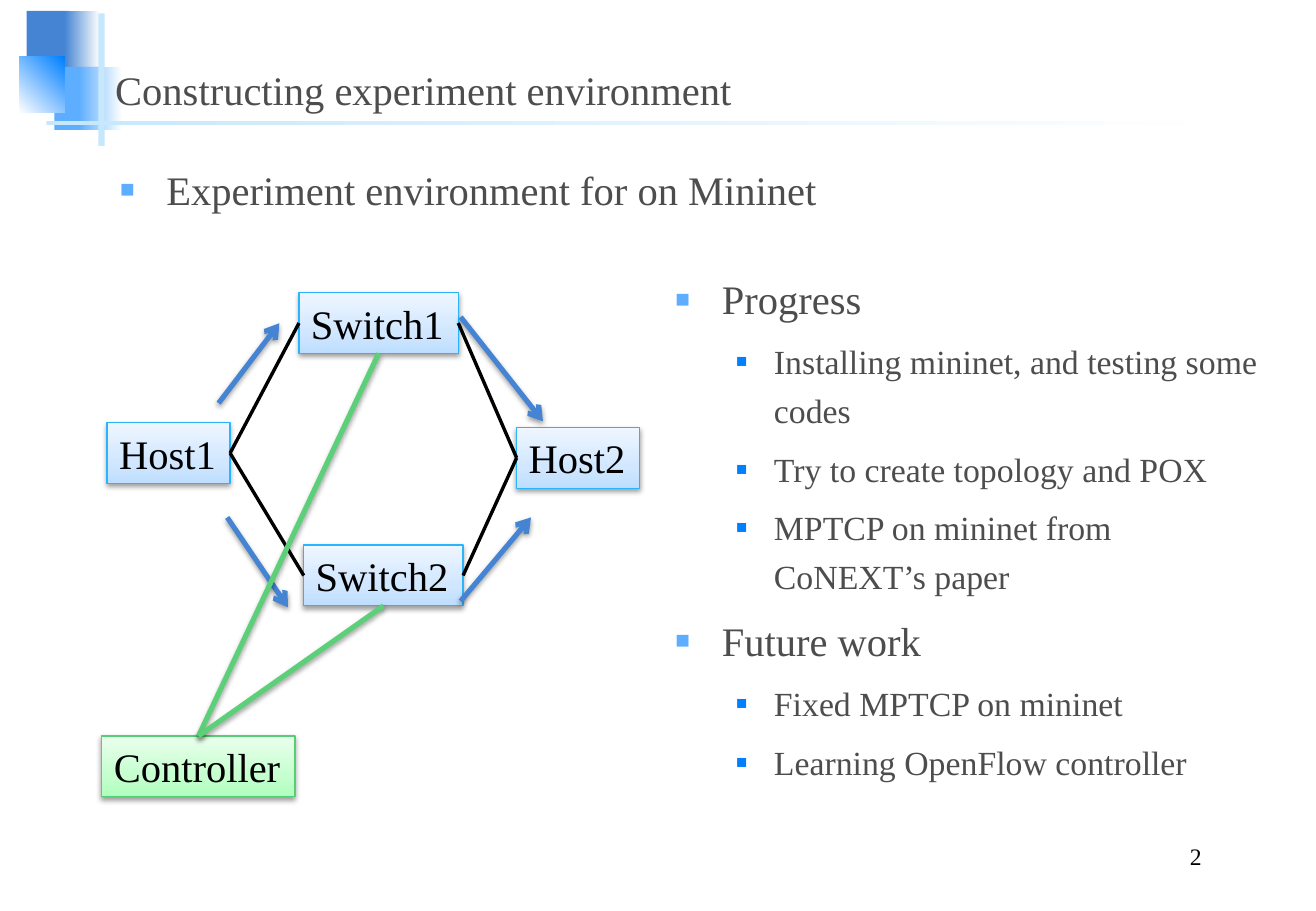
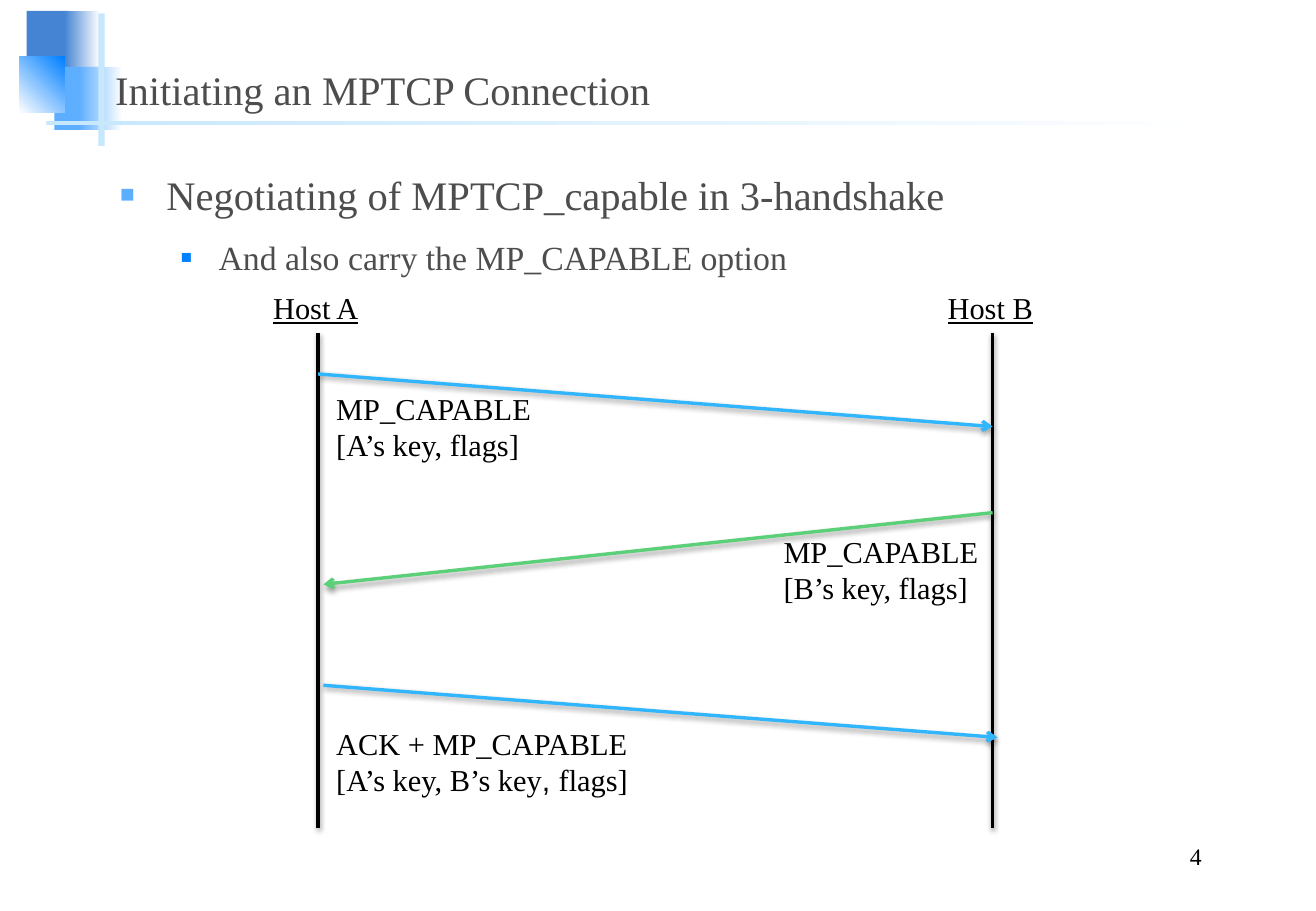
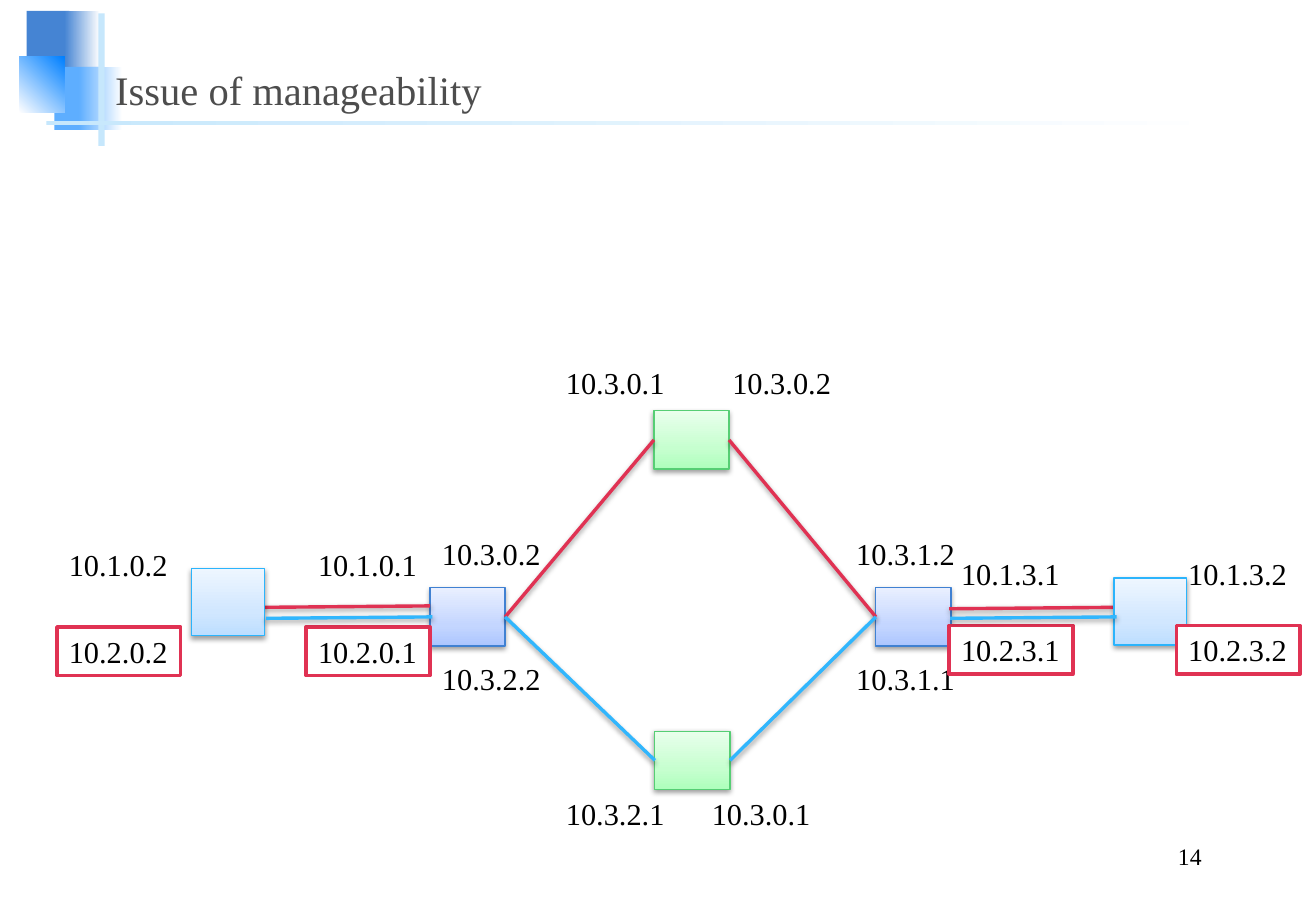
"""Build three slides about multipath TCP experiments."""
from dataclasses import dataclass

from lxml.etree import SubElement as Sub
from pptx import Presentation
from pptx.dml.color import RGBColor as RGB
from pptx.enum.shapes import MSO_CONNECTOR as Wire, MSO_SHAPE as Form
from pptx.enum.text import MSO_ANCHOR as Anchor, MSO_AUTO_SIZE as Auto, PP_ALIGN as Align
from pptx.oxml import parse_xml
from pptx.oxml.ns import nsdecls, qn
from pptx.util import Cm, Pt


@dataclass(frozen=True)
class Theme:
    """Colours, fonts and type sizes of the deck."""
    serif: str = "Times New Roman"
    sans: str = "Arial"
    large: int = 24
    mid: int = 20
    small: int = 18
    tiny: int = 14
    ink: str = "000000"
    gray: str = "4D4D4D"
    white: str = "FFFFFF"
    navy: str = "4584D3"
    blue: str = "5EAEFF"
    azure: str = "0080FF"
    pale: str = "C6E7FC"
    sky: str = "31B6FD"
    green: str = "5BD078"
    red: str = "E03253"
    host: tuple = ("2BB4FC", "BDDEFF", "D1E7FF", "EEF6FF")
    leaf: tuple = ("56CE74", "AEFFBC", "C6FFCF", "E9FFEC")
    hub: tuple = ("4081D2", "ACC6FF", "C4D6FF", "E9EFFF")


T = Theme()
TOP, LEFT, BOTTOM, RIGHT = range(4)
NODE = 1.27
LABEL = 2.59, 1.02


def rgb(code):
    """Return a colour object for a hex code."""
    return RGB.from_string(code)


def fade(shape, stops, angle):
    """Fill a shape with a linear gradient."""
    shape.fill.background()
    props = shape._element.spPr
    marks = "".join(f'<a:gs pos="{pos * 1000}"><a:srgbClr val="{code}"/></a:gs>'
                    for pos, code in stops)
    props.replace(props.find(qn("a:noFill")), parse_xml(
        f'<a:gradFill {nsdecls("a")} rotWithShape="1"><a:gsLst>{marks}</a:gsLst>'
        f'<a:lin ang="{angle * 60000}" scaled="0"/></a:gradFill>'))


def cast(item, dark):
    """Replace the theme shadow by a soft one or by none."""
    props = item._element.spPr
    effect = props.find(qn("a:effectLst"))
    if effect is None:
        effect = Sub(props, qn("a:effectLst"))
    if dark:
        drop = Sub(effect, qn("a:outerShdw"), blurRad="40000", dist="20000",
                   dir="5400000", rotWithShape="0")
        color = Sub(drop, qn("a:srgbClr"), val=T.ink)
        Sub(color, qn("a:alpha"), val="38000")


def style(para, size, color=T.ink):
    """Set the font of a paragraph."""
    font = para.font
    font.name, font.size, font.color.rgb = T.serif, Pt(size), rgb(color)


def write(shape, lines, size, color=T.ink, wrap=True, anchor=Anchor.TOP, align=Align.LEFT):
    """Put plain lines of text into a shape."""
    frame = shape.text_frame
    frame.word_wrap, frame.vertical_anchor = wrap, anchor
    frame.auto_size = Auto.NONE if wrap else Auto.SHAPE_TO_FIT_TEXT
    frame.text = "\n".join(lines)
    for para in frame.paragraphs:
        para.alignment = align
        style(para, size, color)


def text(slide, area, *lines, **look):
    """Add a text box."""
    box = slide.shapes.add_textbox(*map(Cm, area))
    write(box, lines, **look)
    return box


def label(slide, x, y, *lines, size=LABEL):
    """Add a small caption that does not wrap."""
    return text(slide, (x, y, *size), *lines, size=T.small, wrap=False)


def rect(slide, area):
    """Add a rectangle without the theme shadow."""
    shape = slide.shapes.add_shape(Form.RECTANGLE, *map(Cm, area))
    shape.shadow.inherit = False
    return shape


def node(slide, area, look, name=None):
    """Add a shaded network node."""
    edge, *tones = look
    shape = rect(slide, area)
    fade(shape, zip((0, 35, 100), tones), 270)
    shape.line.color.rgb, shape.line.width = rgb(edge), Pt(0.75)
    cast(shape, True)
    if name:
        write(shape, [name], T.large, wrap=False)
    return shape


def tag(slide, x, y, name):
    """Add an address in a red frame."""
    shape = rect(slide, (x, y, *LABEL))
    shape.fill.solid()
    shape.fill.fore_color.rgb = rgb(T.white)
    shape.line.color.rgb, shape.line.width = rgb(T.red), Pt(2)
    write(shape, [name], T.small, wrap=False)


def line(slide, ends, color, width=2, arrow=False, dark=True):
    """Add a straight line given by two points."""
    wire = slide.shapes.add_connector(Wire.STRAIGHT, *map(Cm, ends))
    wire.line.color.rgb, wire.line.width = rgb(color), Pt(width)
    if arrow:
        Sub(wire._element.spPr.find(qn("a:ln")), qn("a:tailEnd"), type="arrow")
    cast(wire, dark)
    return wire


def link(slide, start, side, end, face, color, **look):
    """Join the sides of two nodes."""
    wire = line(slide, (0, 0, 1, 1), color, **look)
    wire.begin_connect(start, side)
    wire.end_connect(end, face)


def points(slide, area, items):
    """Add a bulleted list of (level, text) pairs."""
    looks = ((0.97, -0.97, T.blue, 60, T.large), (2.06, -0.79, T.azure, 55, T.mid))
    box = slide.shapes.add_textbox(*map(Cm, area))
    frame = box.text_frame
    frame.word_wrap = True
    for num, (level, words) in enumerate(items):
        para = frame.add_paragraph() if num else frame.paragraphs[0]
        para.text, para.level = words, level
        margin, hang, color, share, size = looks[level]
        props = para._p.get_or_add_pPr()
        props.set("marL", str(Cm(margin)))
        props.set("indent", str(Cm(hang)))
        Sub(Sub(props, qn("a:buClr")), qn("a:srgbClr"), val=color)
        Sub(props, qn("a:buSzPct"), val=str(share * 1000))
        Sub(props, qn("a:buFont"), typeface=T.sans)
        Sub(props, qn("a:buChar"), char="■")
        para.line_spacing = 1.2
        para.space_before = Pt(6 if num else 0)
        style(para, size, T.gray)


def page(deck, title, number):
    """Add a slide with its ornament, title and number."""
    slide = deck.slides.add_slide(deck.slide_layouts[6])
    bars = (
        ((0.56, 0.23, 0.89, 1.32), (T.navy, T.navy), 0),
        ((1.35, 0.23, 0.74, 1.32), (T.navy, T.white), 0),
        ((1.14, 1.4, 1.04, 1.32), (T.blue, T.blue), 0),
        ((1.65, 1.4, 0.91, 1.32), (T.blue, T.white), 0),
        ((0.41, 1.19, 0.94, 1.17), (T.white, T.azure), 315),
        ((2.06, 0.28, 0.13, 2.77), (T.pale, T.pale), 0),
        ((0.97, 2.54, 24.77, 0.08), (T.pale, T.white), 0),
    )
    for area, (first, last), angle in bars:
        bar = rect(slide, area)
        bar.line.fill.background()
        if first == last:
            bar.fill.solid()
            bar.fill.fore_color.rgb = rgb(first)
        else:
            fade(bar, ((0, first), (100, last)), angle)
    text(slide, (2.16, 0.91, 23.6, 1.6), title, size=T.large, color=T.gray,
         anchor=Anchor.BOTTOM)
    text(slide, (19.63, 17.53, 5.74, 0.79), str(number), size=T.tiny,
         anchor=Anchor.BOTTOM, align=Align.RIGHT)
    return slide


def setup(deck):
    """Draw the test network and the list of progress."""
    slide = page(deck, "Constructing experiment environment", 2)
    points(slide, (2.26, 3.12, 23.01, 2.21), [(0, "Experiment environment for on Mininet")])
    upper = node(slide, (6.25, 6.12, 3.33, NODE), T.host, "Switch1")
    lower = node(slide, (6.35, 11.4, 3.33, NODE), T.host, "Switch2")
    near = node(slide, (2.24, 8.84, 2.57, NODE), T.host, "Host1")
    far = node(slide, (10.8, 8.94, 2.57, NODE), T.host, "Host2")
    ctrl = node(slide, (2.13, 15.39, 4.04, NODE), T.leaf, "Controller")
    for switch in (upper, lower):
        link(slide, near, RIGHT, switch, LEFT, T.ink, dark=False)
        link(slide, far, LEFT, switch, RIGHT, T.ink, dark=False)
    points(slide, (13.87, 5.41, 12.98, 12.12), (
        (0, "Progress"),
        (1, "Installing mininet, and testing some codes"),
        (1, "Try to create topology and POX"),
        (1, "MPTCP on mininet from CoNEXT’s paper"),
        (0, "Future work"),
        (1, "Fixed MPTCP on mininet"),
        (1, "Learning OpenFlow controller"),
    ))
    for ends in ((4.57, 8.43, 5.84, 6.76), (4.75, 10.82, 6.02, 12.7),
                 (9.63, 6.63, 11.35, 8.81), (9.63, 12.57, 11.1, 10.82)):
        line(slide, ends, T.navy, 3, arrow=True)
    for switch in (upper, lower):
        link(slide, switch, BOTTOM, ctrl, TOP, T.green, width=3)


def shake(deck):
    """Draw the three-way handshake."""
    slide = page(deck, "Initiating an MPTCP Connection", 4)
    points(slide, (2.26, 3.23, 23.01, 3.51), (
        (0, "Negotiating of MPTCP_capable in 3-handshake"),
        (1, "And also carry the MP_CAPABLE option"),
    ))
    for name, x in (("Host A", 6.65), ("Host B", 20.75)):
        head = label(slide, x - 1.19, 5.92, name, size=(2.41, 1.02))
        head.text_frame.paragraphs[0].font.underline = True
        line(slide, (x, 6.96, x, 17.32), T.ink)
    for ends, color in (((6.65, 7.82, 20.75, 8.92), T.sky),
                        ((6.76, 14.33, 20.85, 15.42), T.sky),
                        ((20.75, 10.72, 6.76, 12.22), T.green)):
        line(slide, ends, color, arrow=True)
    label(slide, 6.78, 8.03, "MP_CAPABLE", "[A’s key, flags]", size=(4.62, 1.8))
    label(slide, 16.13, 11.02, "MP_CAPABLE", "[B’s key, flags]", size=(4.62, 1.8))
    reply = label(slide, 6.78, 15.04, "ACK + MP_CAPABLE", "[A’s key, B’s key", size=(6.78, 1.8))
    last = reply.text_frame.paragraphs[-1]
    for part, face in ((", ", T.sans), ("flags]", T.serif)):
        run = last.add_run()
        run.text, run.font.name = part, face


def manage(deck):
    """Draw the addresses along two paths."""
    slide = page(deck, "Issue of manageability", 14)
    west, east = (node(slide, (x, 12.29, 1.57, 1.22), T.hub) for x in (8.99, 18.31))
    paths = (((13.67, 8.59), T.red), ((13.69, 15.29), T.sky))
    for spot, color in paths:
        relay = node(slide, (*spot, 1.57, 1.22), T.leaf)
        link(slide, relay, LEFT, west, RIGHT, color)
        link(slide, relay, RIGHT, east, LEFT, color)
    for ends in ((8.99, 12.67, 5.51, 12.7), (23.29, 12.7, 19.84, 12.73)):
        line(slide, ends, T.red)
    for spot in ((4.01, 11.89), (23.29, 12.09)):
        node(slide, (*spot, 1.52, 1.4), T.host)
    rows = (
        (7.49, ((11.58, "10.3.0.1"), (15.06, "10.3.0.2"))),
        (11.07, ((8.99, "10.3.0.2"), (17.65, "10.3.1.2"))),
        (11.3, ((1.19, "10.1.0.2"), (6.4, "10.1.0.1"))),
        (11.48, ((19.84, "10.1.3.1"), (24.59, "10.1.3.2"))),
        (13.69, ((8.99, "10.3.2.2"), (17.65, "10.3.1.1"))),
        (16.51, ((11.58, "10.3.2.1"), (14.63, "10.3.0.1"))),
    )
    for y, row in rows:
        for x, name in row:
            label(slide, x, y, name)
    for x, y, name in ((1.19, 13.11, "10.2.0.2"), (6.4, 13.11, "10.2.0.1"),
                       (19.84, 13.08, "10.2.3.1"), (24.59, 13.08, "10.2.3.2")):
        tag(slide, x, y, name)
    for x in (9.04, 23.34):
        line(slide, (x, 12.9, x - 3.48, 12.93), T.sky)


def main():
    """Build and save the deck."""
    deck = Presentation()
    deck.slide_width, deck.slide_height = Cm(27.51), Cm(19.05)
    for draw in (setup, shake, manage):
        draw(deck)
    deck.save("out.pptx")


if __name__ == "__main__":
    main()
